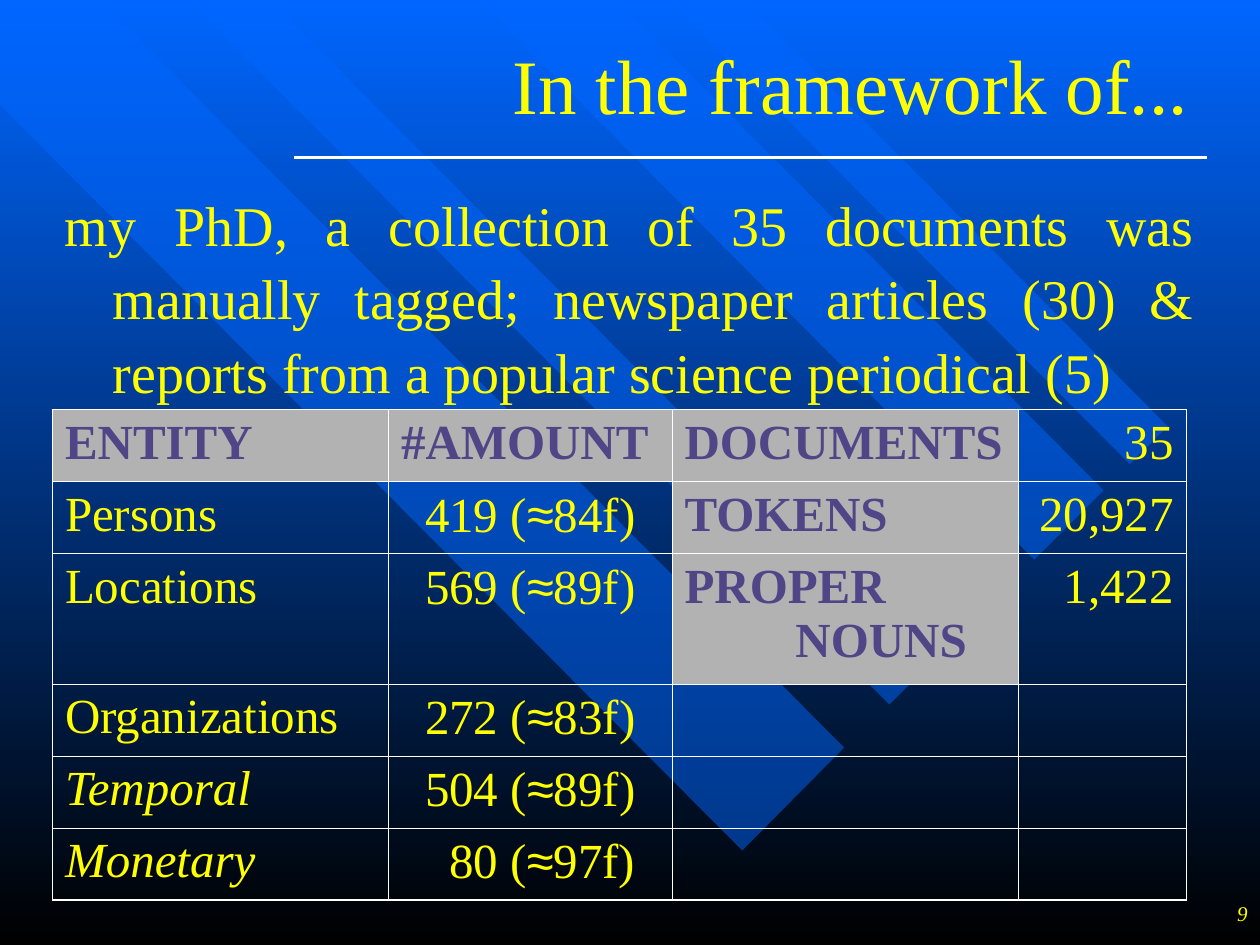
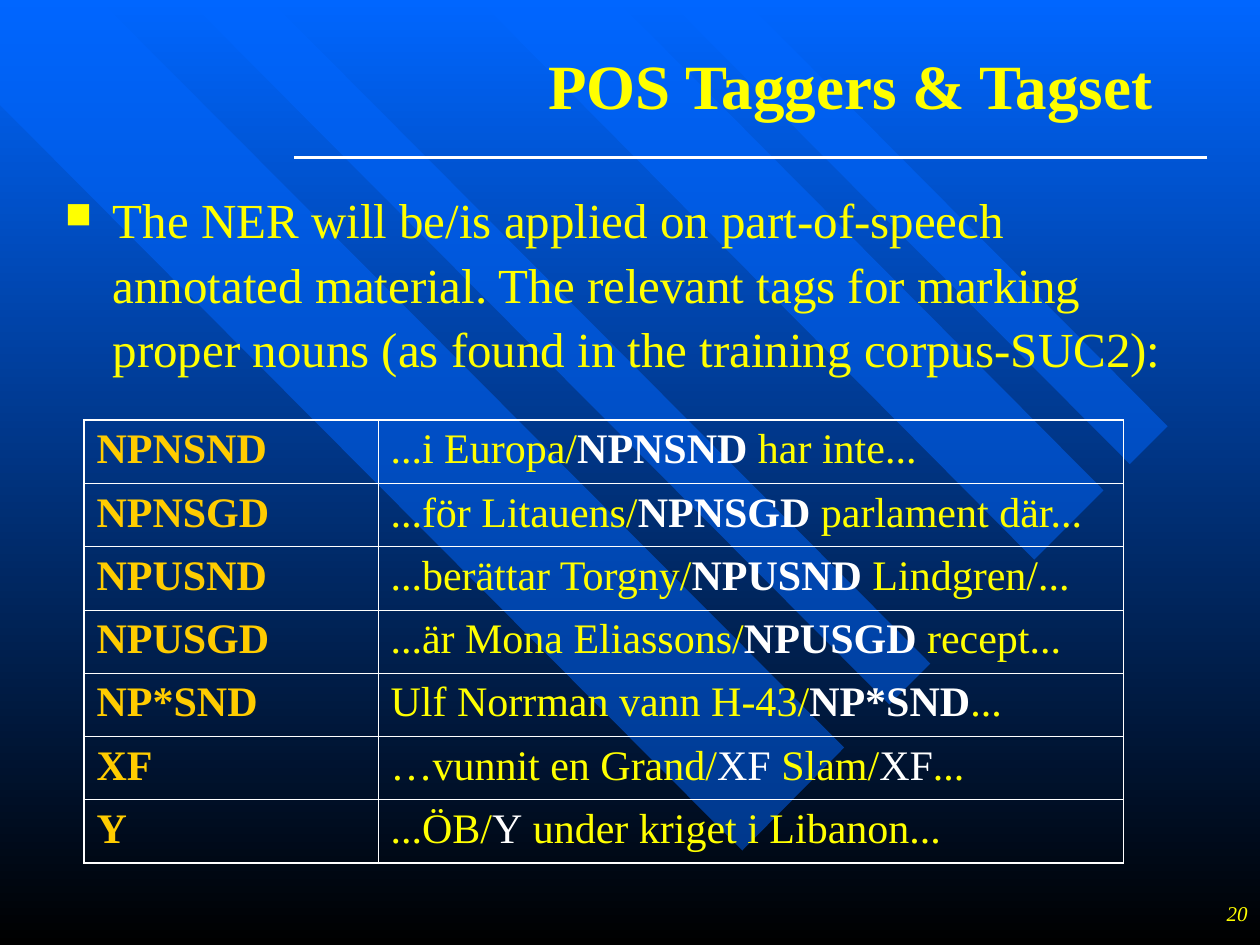
from lxml.etree import SubElement
from pptx import Presentation
from pptx.dml.color import RGBColor
from pptx.enum.shapes import MSO_CONNECTOR
from pptx.enum.text import MSO_ANCHOR, PP_ALIGN
from pptx.oxml.ns import qn
from pptx.util import Emu, Inches, Pt

COLORS = {
    "blue": "0066FF",
    "black": "000000",
    "white": "FFFFFF",
    "yellow": "FFFF00",
    "gold": "FFCC00",
    "violet": "504587",
    "gray": "B2B2B2",
}
SERIF = "Times New Roman"
SYMBOL = "Arial"
COLUMNS, ROWS = 120, 90
UNIT = Inches(10) // COLUMNS
THIN, THICK = 0.45, 1.08

BANDS = [
    [(80.4, 71.2), (9.5, 0), (0, 0), (0, 10), (70.7, 81)],
    [(25.7, 0), (88.6, 63.2), (84.7, 67.1), (17.9, 0)],
    [(58.7, 0), (105.1, 46.7), (98.5, 53.3), (45.6, 0)],
    [(63.6, 0), (107.6, 44.2), (111.2, 40.6), (70.9, 0)],
]
RULE = (115, 15, 28, 15)
TITLE_BOX = (47, 3, 68, 10)
NUMBER_BOX = (95, 84, 25, 6)

ENTITIES = [
    ("Persons", "419", "84"),
    ("Locations", "569", "89"),
    ("Organizations", "272", "83"),
    ("Temporal", "504", "89"),
    ("Monetary", "80", "97"),
]
ITALIC_ENTITIES = ("Temporal", "Monetary")
TOTALS = [("DOCUMENTS", "35"), ("TOKENS", "20,927"), ("PROPER", "1,422")]

TAG_EXAMPLES = [
    ("NPNSND", ["...i Europa/", "NPNSND", " har inte..."]),
    ("NPNSGD", ["...för Litauens/", "NPNSGD", " parlament där..."]),
    ("NPUSND", ["...berättar Torgny/", "NPUSND", " Lindgren/..."]),
    ("NPUSGD", ["...är Mona Eliassons/", "NPUSGD", " recept..."]),
    ("NP*SND", ["Ulf Norrman vann H-43/", "NP*SND", "..."]),
    ("XF", ["…vunnit en Grand/", "XF", " Slam/", "XF", "..."]),
    ("Y", ["...ÖB/", "Y", " under kriget i Libanon..."]),
]


def grid(*lengths):
    return [Emu(round(length * UNIT)) for length in lengths]


def rgb(name):
    return RGBColor.from_string(COLORS[name])


def add_run(paragraph, text, size=28, color="yellow", bold=False, italic=False, font=SERIF):
    run = paragraph.add_run()
    run.text = text
    run.font.size = Pt(size)
    run.font.name = font
    run.font.bold = bold
    run.font.italic = italic
    run.font.color.rgb = rgb(color)


def format_paragraph(paragraph, align=PP_ALIGN.LEFT, before=0, spacing=None, left=0, first=0):
    paragraph.alignment = align
    paragraph.space_before = Pt(before)
    if spacing:
        paragraph.line_spacing = spacing
    properties = paragraph._p.get_or_add_pPr()
    properties.set("marL", str(Inches(left)))
    properties.set("indent", str(Inches(first)))


def add_bullet(paragraph):
    properties = paragraph._p.get_or_add_pPr()
    bullet_color = SubElement(properties, qn("a:buClr"))
    SubElement(bullet_color, qn("a:srgbClr"), val=COLORS["yellow"])
    SubElement(properties, qn("a:buSzPct"), val="75000")
    SubElement(properties, qn("a:buChar"), char="■")


def add_text(slide, box, text, anchor=MSO_ANCHOR.MIDDLE, paragraph_format=None, **font):
    frame = slide.shapes.add_textbox(*grid(*box)).text_frame
    frame.word_wrap = True
    frame.vertical_anchor = anchor
    paragraph = frame.paragraphs[0]
    format_paragraph(paragraph, **(paragraph_format or {}))
    add_run(paragraph, text, **font)
    return paragraph


def add_bands(slide):
    for corners in BANDS:
        points = [grid(*corner) for corner in corners]
        builder = slide.shapes.build_freeform(*points[0], scale=1.0)
        builder.add_line_segments(points[1:], close=True)
        band = builder.convert_to_shape()
        band.shadow.inherit = False
        band.line.fill.background()
        band.fill.solid()
        band.fill.fore_color.rgb = rgb("blue")
        fill_color = band._element.spPr.find(qn("a:solidFill"))[0]
        SubElement(fill_color, qn("a:alpha"), val="50000")


def add_rule(slide):
    rule = slide.shapes.add_connector(MSO_CONNECTOR.STRAIGHT, *grid(*RULE))
    rule.line.color.rgb = rgb("white")
    rule.line.width = Pt(2)
    SubElement(rule._element.spPr, qn("a:effectLst"))


def add_base_slide(presentation, title, number, **title_font):
    slide = presentation.slides.add_slide(presentation.slide_layouts[6])
    add_bands(slide)
    add_rule(slide)
    add_text(slide, TITLE_BOX, title, paragraph_format={"align": PP_ALIGN.CENTER}, **title_font)
    add_text(slide, NUMBER_BOX, number, paragraph_format={"align": PP_ALIGN.RIGHT},
             size=12, italic=True)
    return slide


def add_body(slide, box, text, size, **paragraph_format):
    layout = {"spacing": 1.09, "left": 0.38, "first": -0.38, **paragraph_format}
    return add_text(slide, box, text, MSO_ANCHOR.TOP, layout, size=size)


def set_borders(cell, widths):
    properties = cell._tc.get_or_add_tcPr()
    for position, (side, width) in enumerate(widths.items()):
        line = properties.makeelement(qn(f"a:ln{side}"), w=str(Pt(width)))
        fill = SubElement(line, qn("a:solidFill"))
        SubElement(fill, qn("a:srgbClr"), val=COLORS["white"])
        properties.insert(position, line)


def add_grid_table(slide, left, top, widths, heights, top_border):
    box = grid(left, top, sum(widths), sum(heights))
    table = slide.shapes.add_table(len(heights), len(widths), *box).table
    table.first_row = table.horz_banding = False
    for column, width in zip(table.columns, grid(*widths)):
        column.width = width
    for row, height in zip(table.rows, grid(*heights)):
        row.height = height
    last_row, last_column = len(heights) - 1, len(widths) - 1
    for row in range(len(heights)):
        for column in range(len(widths)):
            cell = table.cell(row, column)
            cell.fill.background()
            set_borders(cell, {
                "L": THIN if column else THICK,
                "R": THICK if column == last_column else THIN,
                "T": THIN if row else top_border,
                "B": THICK if row == last_row else THIN,
            })
    return table


def fill_cell(cell, runs, **paragraph_format):
    paragraph = cell.text_frame.paragraphs[0]
    format_paragraph(paragraph, **paragraph_format)
    for text, font in runs:
        add_run(paragraph, text, **font)


def fill_header(cell, text):
    cell.fill.solid()
    cell.fill.fore_color.rgb = rgb("gray")
    fill_cell(cell, [(text, {"color": "violet", "bold": True})], before=7)


def add_entity_table(slide, left, top):
    heights = [6.86, 6.86, 12.4, 6.86, 6.86, 6.86]
    table = add_grid_table(slide, left, top, [32, 27, 33, 16], heights, THIN)
    for column, heading in enumerate(["ENTITY", "#AMOUNT"]):
        fill_header(table.cell(0, column), heading)
    for row, (entity, amount, score) in enumerate(ENTITIES, start=1):
        fill_cell(table.cell(row, 0), [(entity, {"italic": entity in ITALIC_ENTITIES})], before=7)
        runs = [(f"{amount} (", {}), ("≈", {"font": SYMBOL}), (f"{score}f)", {})]
        fill_cell(table.cell(row, 1), runs, align=PP_ALIGN.CENTER, before=7,
                  left=0.19 if len(amount) < 3 else 0)
    for row, (label, total) in enumerate(TOTALS):
        fill_header(table.cell(row, 2), label)
        fill_cell(table.cell(row, 3), [(total, {})], align=PP_ALIGN.RIGHT, before=7)
    second_line = table.cell(2, 2).text_frame.add_paragraph()
    format_paragraph(second_line, left=0.88)
    add_run(second_line, "NOUNS", color="violet", bold=True)


def add_tag_table(slide, left, top):
    table = add_grid_table(slide, left, top, [28, 71], [6.03] * len(TAG_EXAMPLES), THICK)
    for row, (tag, pieces) in enumerate(TAG_EXAMPLES):
        fill_cell(table.cell(row, 0), [(tag, {"size": 24, "color": "gold", "bold": True})], before=6)
        tag_font = {"size": 24, "color": "white", "bold": tag.startswith("NP")}
        runs = [(piece, tag_font if piece == tag else {"size": 24}) for piece in pieces]
        fill_cell(table.cell(row, 1), runs, before=6)


def build_framework_slide(presentation):
    slide = add_base_slide(presentation, "In the framework of...", "9", size=44)
    add_body(slide, (5, 17, 110, 22),
             "my PhD, a collection of 35 documents was manually tagged; newspaper articles (30) "
             "& reports from a popular science periodical (5)",
             32, align=PP_ALIGN.JUSTIFY, before=8)
    add_entity_table(slide, 5, 39)


def build_tagset_slide(presentation):
    slide = add_base_slide(presentation, "POS Taggers & Tagset", "20", size=36, bold=True)
    body = add_body(slide, (5, 17, 110, 20),
                    "The NER will be/is applied on part-of-speech annotated material. The relevant "
                    "tags for marking proper nouns (as found in the training corpus-SUC2):",
                    28, before=7)
    add_bullet(body)
    add_tag_table(slide, 8, 40)


def set_background(presentation):
    fill = presentation.slide_master.background.fill
    fill.gradient()
    fill.gradient_angle = 270
    for stop, position, name in zip(fill.gradient_stops, (0, 1), ("blue", "black")):
        stop.position = position
        stop.color.rgb = rgb(name)


def main():
    presentation = Presentation()
    presentation.slide_width, presentation.slide_height = grid(COLUMNS, ROWS)
    set_background(presentation)
    build_framework_slide(presentation)
    build_tagset_slide(presentation)
    presentation.save("out.pptx")


if __name__ == "__main__":
    main()
